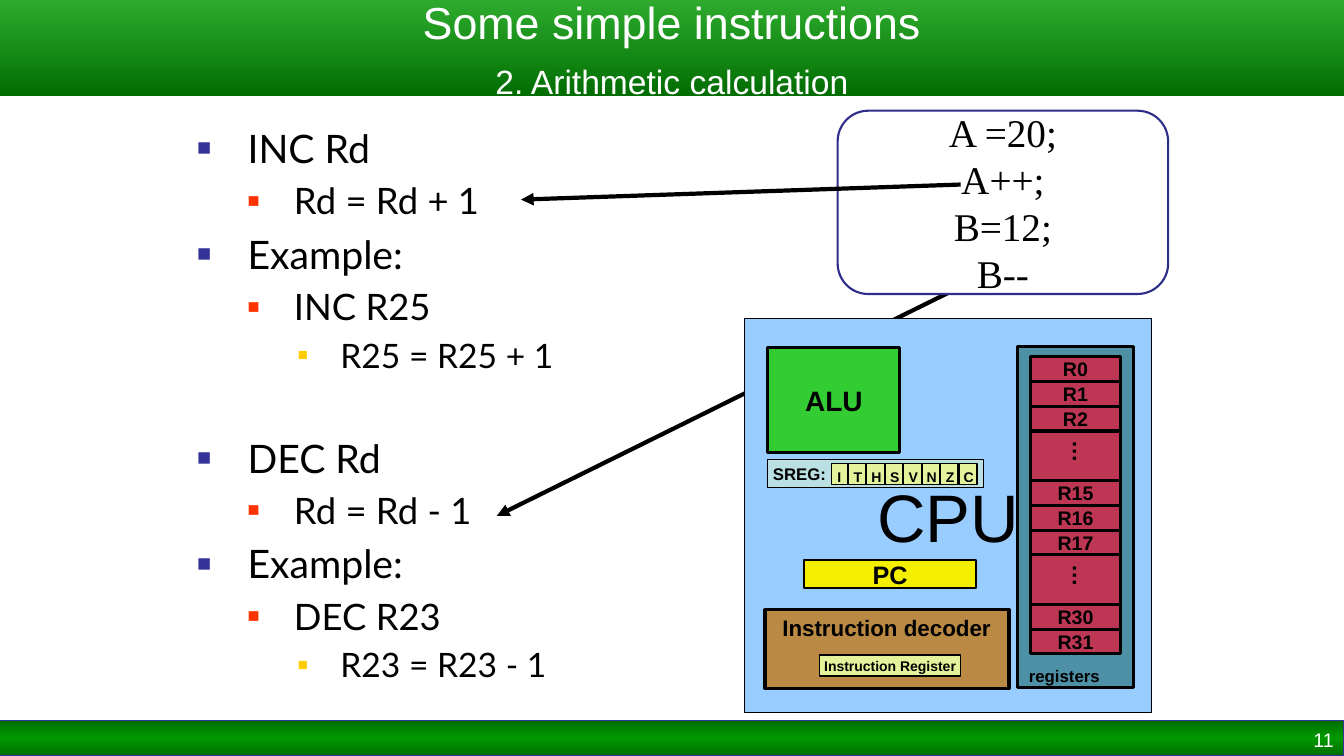
from dataclasses import dataclass

from lxml.etree import SubElement
from pptx import Presentation
from pptx.dml.color import RGBColor
from pptx.enum.shapes import MSO_CONNECTOR as Connector, MSO_SHAPE as Geometry
from pptx.enum.text import MSO_ANCHOR as Anchor, PP_ALIGN as Align
from pptx.oxml.ns import qn
from pptx.util import Cm, Pt


@dataclass(frozen=True)
class Theme:
    black: str = "000000"
    white: str = "FFFFFF"
    green: str = "009900"
    dark_green: str = "006D00"
    navy: str = "333399"
    code_border: str = "2D2D8A"
    cpu: str = "99CCFF"
    pc: str = "F4EE00"
    alu: str = "33CC33"
    register_bank: str = "4E91A6"
    register: str = "BD3754"
    decoder: str = "BA8A44"
    flags: str = "E4F39B"
    sreg: str = "BBE0E3"
    bullets: tuple = ("333399", "FF3300", "FFCC00")
    body_sizes: tuple = (28, 26, 24)
    title_size: int = 32
    subtitle_size: int = 24
    cpu_size: int = 48
    code_size: int = 28
    alu_size: int = 20
    pc_size: int = 18
    block_size: int = 16
    register_size: int = 14
    label_size: int = 12
    flag_size: int = 10
    sans: str = "Arial"
    body_font: str = "Lato"
    code_font: str = "Times New Roman"


theme = Theme()


def add_box(shapes, place, text="", size=12, fill=None, border=None, weight=0.75,
            bold=True, color=theme.black, font=theme.sans, align=Align.CENTER,
            anchor=Anchor.MIDDLE, geometry=Geometry.RECTANGLE, wrap=False):
    place = [Cm(length) for length in place]
    if fill:
        shape = shapes.add_shape(geometry, *place)
        shape.shadow.inherit = False
        shape.fill.solid()
        shape.fill.fore_color.rgb = RGBColor.from_string(fill)
        if border:
            shape.line.color.rgb = RGBColor.from_string(border)
            shape.line.width = Pt(weight)
        else:
            shape.line.fill.background()
    else:
        shape = shapes.add_textbox(*place)
    frame = shape.text_frame
    frame.margin_left = frame.margin_right = frame.margin_top = frame.margin_bottom = 0
    frame.word_wrap = wrap or not fill
    frame.vertical_anchor = anchor
    frame.text = text
    for paragraph in frame.paragraphs:
        paragraph.alignment = align
        for run in paragraph.runs:
            run.font.name = font
            run.font.size = Pt(size)
            run.font.bold = bold
            run.font.color.rgb = RGBColor.from_string(color)
    return shape


def add_line(shapes, start, end, weight, arrow=False):
    line = shapes.add_connector(Connector.STRAIGHT, *[Cm(length) for length in start + end])
    line.line.color.rgb = RGBColor.from_string(theme.black)
    line.line.width = Pt(weight)
    if arrow:
        SubElement(line.line._get_or_add_ln(), qn("a:tailEnd"), type="triangle")
    SubElement(line._element.spPr, qn("a:effectLst"))


presentation = Presentation()
presentation.slide_width = Cm(33.87)
presentation.slide_height = Cm(19.05)
slide = presentation.slides.add_slide(presentation.slide_layouts[6])
shapes = slide.shapes

footer = add_box(shapes, (0, 18.16, 33.87, 0.89), fill=theme.green, border=theme.navy)
add_line(shapes, (24.38, 7.14), (12.52, 13), 3, arrow=True)
add_box(shapes, (25.96, 18.21, 7.65, 0.84), "11", theme.register_size,
        bold=False, color=theme.white, align=Align.RIGHT)
title = add_box(shapes, (0, 0, 33.87, 2.41),
                "Some simple instructions\n2. Arithmetic calculation", theme.title_size,
                fill=theme.green, bold=False, color=theme.white, wrap=True)
subtitle = title.text_frame.paragraphs[1]
subtitle.space_before = Pt(9)
subtitle.runs[0].font.size = Pt(theme.subtitle_size)

gradients = (
    (footer, ((0, theme.dark_green, 100), (50, theme.green, 100), (100, theme.dark_green, 100))),
    (title, ((0, theme.green, 82), (100, theme.dark_green, 100))),
)
for bar, stops in gradients:
    bar.fill.gradient()
    bar.fill.gradient_angle = 270
    stop_list = bar._element.spPr.find(".//" + qn("a:gsLst"))
    stop_list.clear()
    for position, color, opacity in stops:
        stop = SubElement(stop_list, qn("a:gs"), pos=str(position * 1000))
        stop_color = SubElement(stop, qn("a:srgbClr"), val=color)
        SubElement(stop_color, qn("a:alpha"), val=str(opacity * 1000))

instructions = (
    ("INC Rd", 0, 0),
    ("Rd = Rd + 1", 1, 5.2),
    ("Example:", 0, 5.6),
    ("INC R25", 1, 5.2),
    ("R25 = R25 + 1", 2, 4.8),
    ("DEC Rd", 0, 42),
    ("Rd = Rd - 1", 1, 5.2),
    ("Example:", 0, 5.6),
    ("DEC R23", 1, 5.2),
    ("R23 = R23 - 1", 2, 4.8),
)
indents = ((1.27, -1.27), (2.44, -1.17), (3.61, -1.07))
body = add_box(shapes, (4.97, 3.13, 23.7, 14.7), "\n".join(row[0] for row in instructions),
               bold=False, font=theme.body_font, align=Align.LEFT, anchor=Anchor.TOP)
for paragraph, (text, level, space) in zip(body.text_frame.paragraphs, instructions):
    paragraph.level = level
    paragraph.space_before = Pt(space)
    paragraph.runs[0].font.size = Pt(theme.body_sizes[level])
    margin, indent = indents[level]
    properties = paragraph._p.get_or_add_pPr()
    properties.set("marL", str(Cm(margin)))
    properties.set("indent", str(Cm(indent)))
    bullet_color = SubElement(properties, qn("a:buClr"))
    SubElement(bullet_color, qn("a:srgbClr"), val=theme.bullets[level])
    SubElement(properties, qn("a:buSzPct"), val=str(60000 - 5000 * level))
    SubElement(properties, qn("a:buFont"), typeface=theme.sans)
    SubElement(properties, qn("a:buChar"), char="■")

cpu = shapes.add_group_shape().shapes
blocks = (
    ((18.77, 8.03, 10.24, 9.93), "CPU", theme.cpu_size, theme.cpu, 0.75, False),
    ((20.27, 14.12, 4.32, 0.69), "PC", theme.pc_size, theme.pc, 1.5, True),
    ((19.35, 8.76, 3.33, 2.64), "ALU", theme.alu_size, theme.alu, 2.25, True),
    ((25.65, 8.74, 2.92, 8.59), "", theme.label_size, theme.register_bank, 2.25, True),
    ((19.28, 15.37, 6.15, 1.98), "", theme.block_size, theme.decoder, 2.25, True),
    ((20.65, 16.51, 3.56, 0.53), "Instruction Register", theme.flag_size, theme.flags, 1, True),
    ((19.35, 11.58, 5.44, 0.71), "", theme.label_size, theme.sreg, 0.75, True),
    ((20.96, 11.68, 3.66, 0.53), "", theme.flag_size, theme.flags, 1, True),
)
for place, text, size, fill, weight, bold in blocks:
    add_box(cpu, place, text, size, fill, theme.black, weight, bold)

labels = (
    ((25.93, 16.66, 2.6, 0.76), "registers", theme.label_size, Align.LEFT),
    ((19.41, 15.34, 5.87, 0.94), "Instruction decoder", theme.block_size, Align.CENTER),
    ((19.48, 11.56, 2, 0.76), "SREG:", theme.label_size, Align.LEFT),
)
for place, text, size, align in labels:
    add_box(cpu, place, text, size, align=align)

row_height = 7.49 / 12
row_top = 8.99
for name in ("R0", "R1", "R2", "…", "R15", "R16", "R17", "…", "R30", "R31"):
    skipped = name == "…"
    height = row_height * (2 if skipped else 1)
    add_box(cpu, (25.96, row_top, 2.29, height), "" if skipped else name,
            theme.register_size, theme.register, theme.black, 2.25)
    if skipped:
        dots = add_box(cpu, (26.64, row_top + 0.05, 1.24, 0.94), name, theme.block_size)
        dots.rotation = 90
    row_top += height

flag_pitch = 0.465
for index, flag in enumerate("ITHSVNZC"):
    offset = index * flag_pitch
    if index:
        add_line(cpu, (20.9 + offset, 11.68), (20.9 + offset, 12.22), 1.5)
    add_box(cpu, (20.85 + offset, 11.68, 0.61, 0.69), flag, theme.flag_size)

add_box(shapes, (21.11, 2.79, 8.33, 4.62), "A =20;\nA++;\nB=12;\nB--", theme.code_size,
        theme.white, theme.code_border, 1.5, bold=False, font=theme.code_font,
        geometry=Geometry.ROUNDED_RECTANGLE, wrap=True)
add_line(shapes, (24.21, 4.65), (13.13, 5.03), 3, arrow=True)

presentation.save("out.pptx")
